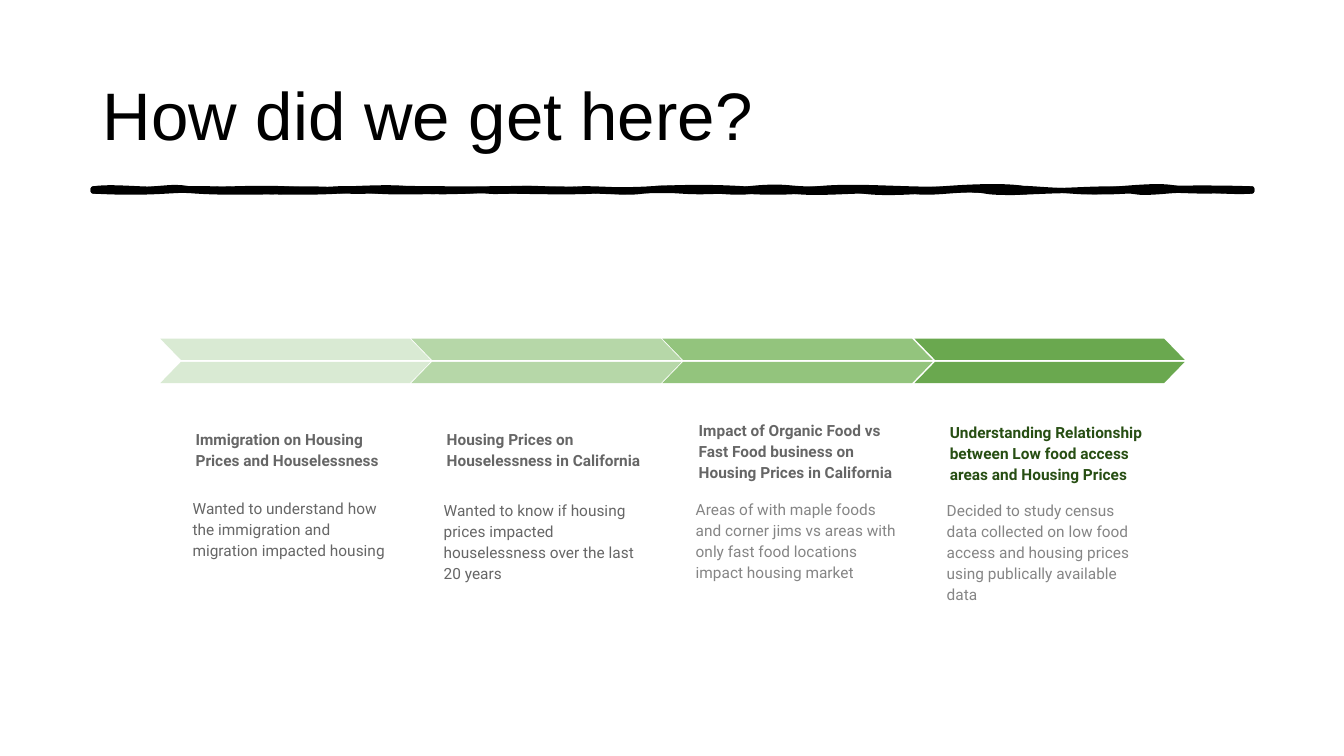
from lxml import etree
from pptx import Presentation
from pptx import util as u
from pptx.dml.color import RGBColor
from pptx.enum import shapes, text
from pptx.oxml.ns import qn

COLORS = {
    "black": "000000", "gray": "666666", "light": "858585", "forest": "274E13",
    "step1": "D9EAD3", "step2": "B6D7A8", "step3": "93C47D", "step4": "6AA84F",
}

TITLE = "How did we get here?"

STEPS = [
    {"heading": "Immigration on Housing Prices and Houselessness",
     "body": "Wanted to understand how the immigration and migration impacted housing",
     "fill": "step1", "heading_color": "gray", "body_color": "gray", "arrow_left": 1.59,
     "heading_left": 1.81, "heading_top": 3.93, "heading_height": 0.86, "body_top": 4.79},
    {"heading": "Housing Prices on Houselessness in California",
     "body": "Wanted to know if housing prices impacted houselessness over the last 20 years",
     "fill": "step2", "heading_color": "gray", "body_color": "gray", "arrow_left": 4.08,
     "heading_left": 4.3, "heading_top": 3.93, "heading_height": 0.86, "body_top": 4.81},
    {"heading": "Impact of Organic Food vs Fast Food business on Housing Prices in California",
     "body": "Areas of with maple foods and corner jims vs areas with "
             "only fast food locations impact housing market",
     "fill": "step3", "heading_color": "gray", "body_color": "light", "arrow_left": 6.57,
     "heading_left": 6.8, "heading_top": 3.97, "heading_height": 0.94, "body_top": 4.8},
    {"heading": "Understanding Relationship between Low food access areas and Housing Prices",
     "body": "Decided to study census data collected on low food access and "
             "housing prices using publically available data",
     "fill": "step4", "heading_color": "forest", "body_color": "light", "arrow_left": 9.07,
     "heading_left": 9.29, "heading_top": 3.93, "heading_height": 1.0, "body_top": 4.81},
]

RULE_LEFT, RULE_RIGHT = 0.92, 12.42
RULE_TOP, RULE_BOTTOM = 1.87, 1.9
# Each wave: first handle x, y; second handle x, y; end x.
OUTER_TOP = [
    (1.05, 1.85, 1.19, 1.86, 1.41), (1.62, 1.88, 1.84, 1.86, 2.12),
    (2.41, 1.88, 2.55, 1.87, 2.96), (3.36, 1.87, 3.15, 1.88, 3.33),
    (3.51, 1.86, 3.56, 1.88, 3.71), (3.85, 1.86, 4.3, 1.87, 4.65),
    (5, 1.87, 5.2, 1.86, 5.37), (5.55, 1.88, 5.6, 1.88, 5.75),
    (5.9, 1.86, 6.29, 1.9, 6.47), (6.64, 1.84, 7.05, 1.91, 7.41),
    (7.77, 1.83, 7.82, 1.87, 8.02), (8.21, 1.87, 8.47, 1.85, 8.62),
    (8.78, 1.89, 9.09, 1.89, 9.34), (9.59, 1.85, 9.99, 1.83, 10.17),
    (10.36, 1.91, 10.68, 1.87, 11.01), (11.34, 1.87, 11.97, 1.85, 12.42)]
OUTER_BOTTOM = [
    (12.23, 1.89, 12.1, 1.9, 11.93), (11.76, 1.9, 11.32, 1.87, 10.98),
    (10.64, 1.93, 10.61, 1.87, 10.26), (9.91, 1.93, 9.98, 1.91, 9.89),
    (9.79, 1.89, 9.44, 1.88, 9.17), (8.89, 1.92, 8.69, 1.92, 8.56),
    (8.44, 1.88, 8.21, 1.88, 7.96), (7.71, 1.92, 7.51, 1.91, 7.36),
    (7.2, 1.89, 7.01, 1.92, 6.75), (6.49, 1.88, 6.21, 1.92, 5.92),
    (5.63, 1.88, 5.43, 1.9, 5.2), (4.97, 1.9, 4.92, 1.91, 4.83),
    (4.74, 1.89, 4.4, 1.92, 4.22), (4.05, 1.88, 3.76, 1.91, 3.39),
    (3.02, 1.89, 3.1, 1.89, 2.9), (2.7, 1.91, 2.22, 1.92, 1.95),
    (1.69, 1.88, 1.36, 1.9, 0.92)]
INNER_TOP = [
    (1.17, 1.89, 1.28, 1.89, 1.52), (1.76, 1.85, 1.75, 1.85, 1.89),
    (2.04, 1.89, 2.49, 1.85, 2.84), (3.19, 1.89, 3.23, 1.88, 3.45),
    (3.67, 1.86, 3.92, 1.85, 4.05), (4.18, 1.89, 4.58, 1.88, 5),
    (5.42, 1.86, 5.3, 1.87, 5.49), (5.67, 1.87, 6.09, 1.89, 6.44),
    (6.78, 1.85, 7.11, 1.85, 7.39), (7.66, 1.89, 7.82, 1.9, 8.1),
    (8.39, 1.84, 8.69, 1.86, 9.05), (9.42, 1.88, 9.5, 1.86, 9.66),
    (9.82, 1.88, 9.98, 1.85, 10.26), (10.54, 1.89, 10.75, 1.9, 11.09),
    (11.44, 1.84, 11.57, 1.84, 11.7), (11.83, 1.9, 12.26, 1.87, 12.42)]
INNER_BOTTOM = [
    (12.19, 1.92, 11.93, 1.87, 11.58), (11.24, 1.93, 11.29, 1.9, 11.21),
    (11.13, 1.9, 10.96, 1.92, 10.72), (10.48, 1.88, 9.97, 1.94, 9.77),
    (9.57, 1.86, 9.24, 1.94, 9.05), (8.87, 1.86, 8.74, 1.9, 8.56),
    (8.39, 1.9, 8.07, 1.93, 7.85), (7.63, 1.87, 7.59, 1.88, 7.47),
    (7.36, 1.92, 7.25, 1.91, 7.1), (6.94, 1.89, 6.57, 1.87, 6.38),
    (6.19, 1.93, 6.01, 1.89, 5.89), (5.77, 1.91, 5.46, 1.91, 5.06),
    (4.65, 1.89, 4.79, 1.9, 4.57), (4.34, 1.9, 3.96, 1.92, 3.73),
    (3.51, 1.88, 3.48, 1.89, 3.36), (3.24, 1.91, 2.87, 1.92, 2.53),
    (2.18, 1.88, 2.23, 1.91, 2.04), (1.84, 1.89, 1.84, 1.89, 1.66),
    (1.49, 1.91, 1.27, 1.92, 0.92)]

ARROW_WIDTH, ARROW_HEIGHT = 2.68, 0.21
ARROW_TOPS = (3.36, 3.59)


def color(name):
    return RGBColor.from_string(COLORS[name])


def set_all(target, values):
    for name, value in values.items():
        setattr(target, name, value)


def add_segment(contour, kind, *points):
    segment = etree.SubElement(contour, qn(kind))
    for x, y in points:
        etree.SubElement(segment, qn("a:pt"), x=str(u.Inches(x - RULE_LEFT)),
                         y=str(u.Inches(y - RULE_TOP)))


def add_contour(outlines, upper, lower, **options):
    contour = etree.SubElement(
        outlines, qn("a:path"), w=str(u.Inches(RULE_RIGHT - RULE_LEFT)),
        h=str(u.Inches(RULE_BOTTOM - RULE_TOP)), **options)
    add_segment(contour, "a:moveTo", (RULE_LEFT, RULE_TOP))
    for base, waves in ((RULE_TOP, upper), (RULE_BOTTOM, lower)):
        for x1, y1, x2, y2, end in waves:
            add_segment(contour, "a:cubicBezTo", (x1, y1), (x2, y2), (end, base))
        if base == RULE_TOP:
            add_segment(contour, "a:lnTo", (RULE_RIGHT, RULE_BOTTOM))
    etree.SubElement(contour, qn("a:close"))


def add_rule(page):
    corners = [(u.Inches(x), u.Inches(y)) for x, y in (
        (RULE_LEFT, RULE_TOP), (RULE_RIGHT, RULE_TOP),
        (RULE_RIGHT, RULE_BOTTOM), (RULE_LEFT, RULE_BOTTOM))]
    builder = page.shapes.build_freeform(*corners[0])
    builder.add_line_segments(corners[1:])
    rule = builder.convert_to_shape()
    outlines = rule._element.spPr.find(".//" + qn("a:pathLst"))
    outlines.remove(outlines[0])
    add_contour(outlines, OUTER_TOP, OUTER_BOTTOM, fill="none")
    add_contour(outlines, INNER_TOP, INNER_BOTTOM)
    rule.shadow.inherit = False
    rule.fill.solid()
    rule.fill.fore_color.rgb = color("black")
    rule.line.color.rgb = color("black")
    rule.line.width = u.Pt(3)
    etree.SubElement(rule.line._get_or_add_ln(), qn("a:round"))


def add_label(group, words, place, ink, bold, anchor, after):
    box = group.shapes.add_textbox(*map(u.Inches, place))
    sides = ("margin_left", "margin_right", "margin_top", "margin_bottom")
    set_all(box.text_frame, dict.fromkeys(sides, u.Inches(0.13)))
    set_all(box.text_frame, {"word_wrap": True, "vertical_anchor": anchor})
    para = box.text_frame.paragraphs[0]
    set_all(para, {"line_spacing": 1.15, "space_after": u.Pt(after)})
    span = para.add_run()
    span.text = words
    set_all(span.font, {"name": "Roboto", "size": u.Pt(11), "bold": bold})
    span.font.color.rgb = color(ink)


def add_step(page, step):
    group = page.shapes.add_group_shape()
    left = step["heading_left"]
    add_label(group, step["heading"],
              (left, step["heading_top"], 2.19, step["heading_height"]),
              step["heading_color"], True, text.MSO_ANCHOR.BOTTOM, 0)
    add_label(group, step["body"], (left - 0.03, step["body_top"], 2.25, 0.86),
              step["body_color"], False, text.MSO_ANCHOR.TOP, 21)
    for top in ARROW_TOPS:
        half = group.shapes.add_shape(
            shapes.MSO_SHAPE.PARALLELOGRAM,
            *map(u.Inches, (step["arrow_left"], top, ARROW_WIDTH, ARROW_HEIGHT)))
        half.adjustments[0] = 0.97
        half.shadow.inherit = False
        half.fill.solid()
        half.fill.fore_color.rgb = color(step["fill"])
        half.line.fill.background()
        if top == ARROW_TOPS[0]:
            half._element.spPr.find(qn("a:xfrm")).set("flipH", "1")


def add_title(page):
    title = page.shapes.title
    set_all(title, {"left": u.Inches(0.92), "top": u.Inches(0.4),
                    "width": u.Inches(11.5), "height": u.Inches(1.45)})
    set_all(title.text_frame, {
        "text": TITLE, "word_wrap": True, "auto_size": text.MSO_AUTO_SIZE.NONE,
        "vertical_anchor": text.MSO_ANCHOR.MIDDLE})
    para = title.text_frame.paragraphs[0]
    para.alignment = text.PP_ALIGN.LEFT
    set_all(para.runs[0].font, {"name": "Arial", "size": u.Pt(48)})
    para.runs[0].font.color.rgb = color("black")


deck = Presentation()
set_all(deck, {"slide_width": u.Inches(13.33), "slide_height": u.Inches(7.5)})
page = deck.slides.add_slide(deck.slide_layouts[5])
add_title(page)
add_rule(page)
for step in STEPS:
    add_step(page, step)
deck.save("out.pptx")
